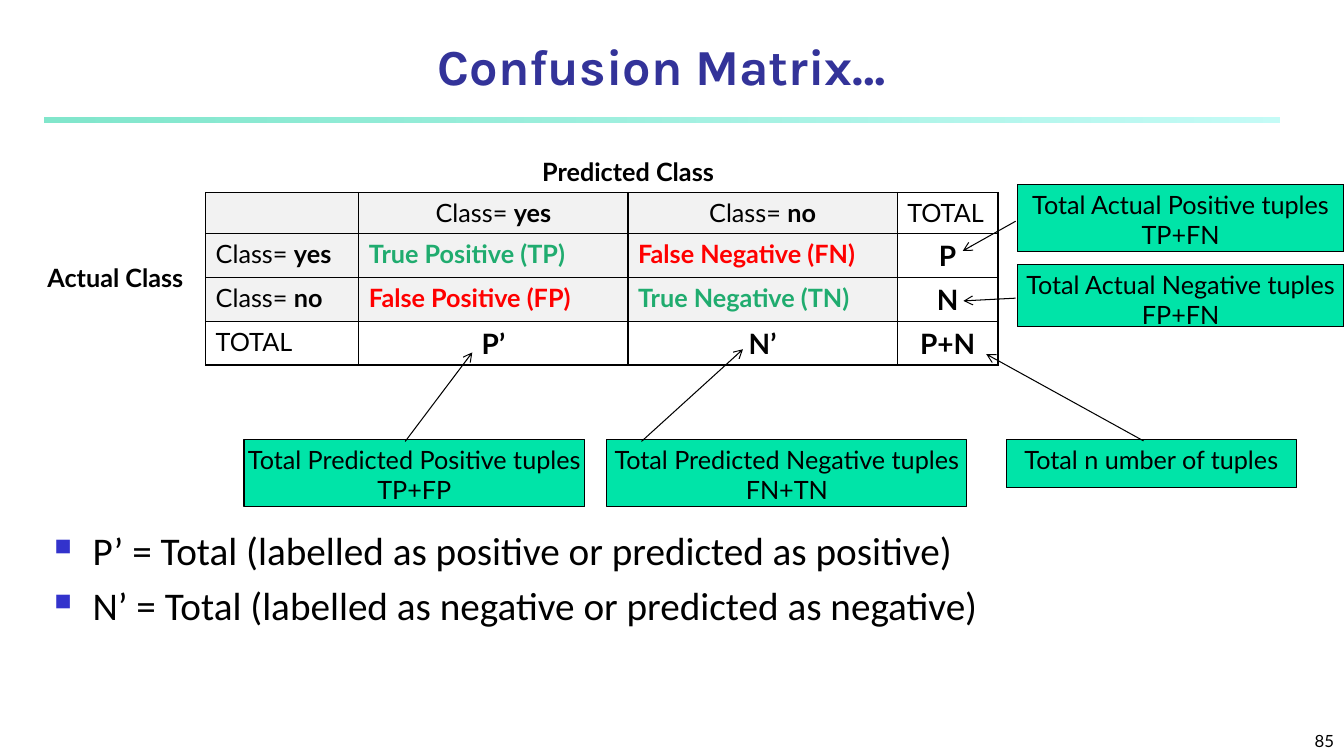
from lxml.etree import SubElement
from pptx import Presentation
from pptx.dml.color import RGBColor as RGB
from pptx.enum.shapes import MSO_SHAPE as SHAPE
from pptx.enum.text import MSO_ANCHOR as ANCHOR, PP_ALIGN as ALIGN
from pptx.oxml.ns import qn
from pptx.util import Inches, Pt

BLACK = RGB(0, 0, 0)
NAVY = RGB(0x33, 0x33, 0x99)
BLUE = RGB(0x33, 0x33, 0xCC)
GREY = RGB(0xF2, 0xF2, 0xF2)
GREEN = RGB(0x20, 0xAC, 0x6F)
RED = RGB(0xFF, 0, 0)
MINT = RGB(0, 0xE4, 0xA8)
BAR = [(RGB(0, 0xCE, 0x98), 50), (RGB(0x8F, 0xF9, 0xEF), 52)]

WIDTH, HEIGHT = 13.33, 7.5
LEFT, SPAN = 0.44, 12.25
TITLE = "Confusion Matrix…"
NUMBER = "85"
POINTS = [
    "P’ = Total (labelled as positive or predicted as positive)",
    "N’ = Total (labelled as negative or predicted as negative)",
]

# Text after the bar is bold.
CELLS = [
    ["", "", "|Predicted Class", "", ""],
    ["", "", "Class= |yes", "Class= |no", "TOTAL|"],
    ["|Actual Class", "Class= |yes", "|True Positive (TP)", "|False Negative (FN)", "|P"],
    ["", "Class= |no", "|False Positive (FP)", "|True Negative (TN)", "|N"],
    ["", "TOTAL|", "|P’", "|N’", "|P+N"],
]
COLS = [1.79, 1.52, 2.67, 2.67, 1]
ROWS = [0.41, 0.41, 0.43, 0.43, 0.43]
MERGES = [((0, 2), (0, 3)), ((2, 0), (3, 0))]
SIDES = {"a:lnL": (0, -1), "a:lnR": (0, 1), "a:lnT": (-1, 0), "a:lnB": (1, 0)}

# Place, pointer as (y, x, y, x) shares of the box, lines of text
SIDE, LOW = 10.09, 4.36
NOTES = [
    ((SIDE, 1.83, 3.24, 0.67), (0.545, -0.005, 0.984, -0.167),
     ["Total Actual Positive tuples", "TP+FN"]),
    ((SIDE, 2.62, 3.24, 0.62), (0.545, -0.005, 0.589, -0.165),
     ["Total Actual Negative tuples", "FP+FN"]),
    ((2.42, LOW, 3.38, 0.67), (0.03, 0.473, -1.289, 0.67),
     ["Total Predicted Positive tuples", "TP+FP"]),
    ((6.02, LOW, 3.57, 0.67), (0.03, 0.096, -1.336, 0.378),
     ["Total Predicted Negative tuples", "FN+TN"]),
    ((9.98, LOW, 2.88, 0.48), (0.03, 0.473, -1.765, -0.069),
     ["Total n umber of tuples"]),
]


def style(font, size, color=BLACK, name="Lato", bold=False):
    font.size, font.name, font.bold = Pt(size), name, bold
    font.color.rgb = color


def write(frame, lines, align, size, **look):
    for i, line in enumerate(lines):
        para = frame.add_paragraph() if i else frame.paragraphs[0]
        para.text, para.alignment = line, align
        style(para.font, size, **look)


def add_text(slide, place, lines, align, size, anchor=ANCHOR.TOP, **look):
    frame = slide.shapes.add_textbox(*map(Inches, place)).text_frame
    frame.word_wrap, frame.vertical_anchor = True, anchor
    write(frame, lines, align, size, **look)
    return frame


def add_bar(slide):
    bar = slide.shapes.add_shape(SHAPE.RECTANGLE, *map(Inches, (LEFT, 1.17, SPAN, 0.05)))
    bar.shadow.inherit = False
    bar.line.fill.background()
    bar.fill.gradient()
    bar.fill.gradient_angle = 0
    for stop, (color, alpha) in zip(bar.fill.gradient_stops, BAR):
        stop.color.rgb = color
    for tag, (color, alpha) in zip(bar.element.iter(qn("a:srgbClr")), BAR):
        SubElement(tag, qn("a:alpha"), val=str(alpha * 1000))


def add_points(slide):
    frame = add_text(slide, (LEFT, 5.17, SPAN, 1.2), [], ALIGN.LEFT, 28)
    for i, text in enumerate(POINTS):
        para = frame.add_paragraph() if i else frame.paragraphs[0]
        para.text = text
        if i:
            para.space_before = Pt(5.6)
        props = para._p.get_or_add_pPr()
        props.set("marL", str(Inches(0.38)))
        props.set("indent", str(-Inches(0.38)))
        SubElement(SubElement(props, qn("a:buClr")), qn("a:srgbClr"), val=str(BLUE))
        SubElement(props, qn("a:buSzPct"), val="60000")
        SubElement(props, qn("a:buChar"), char="■")
        style(para.font, 28, name="Calibri")


def in_grid(row, col):
    return 1 <= row <= 4 and 1 <= col <= 4


def add_borders(cell, row, col):
    """Line each side that touches the matrix and clear the others."""
    props = cell._tc.get_or_add_tcPr()
    for tag, (down, over) in SIDES.items():
        line = SubElement(props, qn(tag), w=str(Pt(1)))
        if in_grid(row, col) or in_grid(row + down, col + over):
            fill = SubElement(line, qn("a:solidFill"))
            SubElement(fill, qn("a:srgbClr"), val=str(BLACK))
        else:
            SubElement(line, qn("a:noFill"))


def fill_cell(cell, row, col, text):
    add_borders(cell, row, col)
    if in_grid(row, col) and row < 4 and col < 4:
        cell.fill.solid()
        cell.fill.fore_color.rgb = GREY
    else:
        cell.fill.background()
    head = row < 2 and col in (2, 3) or col == 0
    total = row == 4 and col > 1 or col == 4 and row > 1
    if head:
        cell.vertical_anchor = ANCHOR.MIDDLE
    color = BLACK
    if row in (2, 3) and col in (2, 3):
        color = GREEN if row == col else RED
    para = cell.text_frame.paragraphs[0]
    para.alignment = ALIGN.CENTER if head or total else ALIGN.LEFT
    style(para.font, 20 if total else 18, color)
    for part, bold in zip(text.split("|"), (False, True)):
        if part:
            run = para.add_run()
            run.text = part
            style(run.font, 20 if total else 18, color, bold=bold)


def add_matrix(slide):
    place = map(Inches, (0.25, 1.5, sum(COLS), sum(ROWS)))
    table = slide.shapes.add_table(len(ROWS), len(COLS), *place).table
    table.first_row = table.horz_banding = False
    for col, width in zip(table.columns, COLS):
        col.width = Inches(width)
    for row, height in zip(table.rows, ROWS):
        row.height = Inches(height)
    for r, line in enumerate(CELLS):
        for c, text in enumerate(line):
            fill_cell(table.cell(r, c), r, c, text)
    for start, end in MERGES:
        table.cell(*start).merge(table.cell(*end))


def add_note(slide, place, pointer, lines):
    note = slide.shapes.add_shape(SHAPE.LINE_CALLOUT_1, *map(Inches, place))
    note.shadow.inherit = False
    for i, share in enumerate(pointer):
        note.adjustments[i] = share
    note.fill.solid()
    note.fill.fore_color.rgb = MINT
    note.line.color.rgb, note.line.width = BLACK, Pt(0.75)
    SubElement(note.line._get_or_add_ln(), qn("a:tailEnd"), type="arrow")
    frame = note.text_frame
    frame.word_wrap, frame.vertical_anchor = False, ANCHOR.TOP
    write(frame, lines, ALIGN.CENTER, 18)


def main():
    deck = Presentation()
    deck.slide_width, deck.slide_height = Inches(WIDTH), Inches(HEIGHT)
    slide = deck.slides.add_slide(deck.slide_layouts[6])
    add_bar(slide)
    add_text(slide, (LEFT, 0.33, SPAN, 0.67), [TITLE], ALIGN.CENTER, 36,
             ANCHOR.BOTTOM, color=NAVY, name="Karla", bold=True)
    add_points(slide)
    add_text(slide, (WIDTH - 2.78, HEIGHT - 0.42, 2.78, 0.42), [NUMBER],
             ALIGN.RIGHT, 12, ANCHOR.BOTTOM)
    add_matrix(slide)
    for note in NOTES:
        add_note(slide, *note)
    deck.save("out.pptx")


if __name__ == "__main__":
    main()
